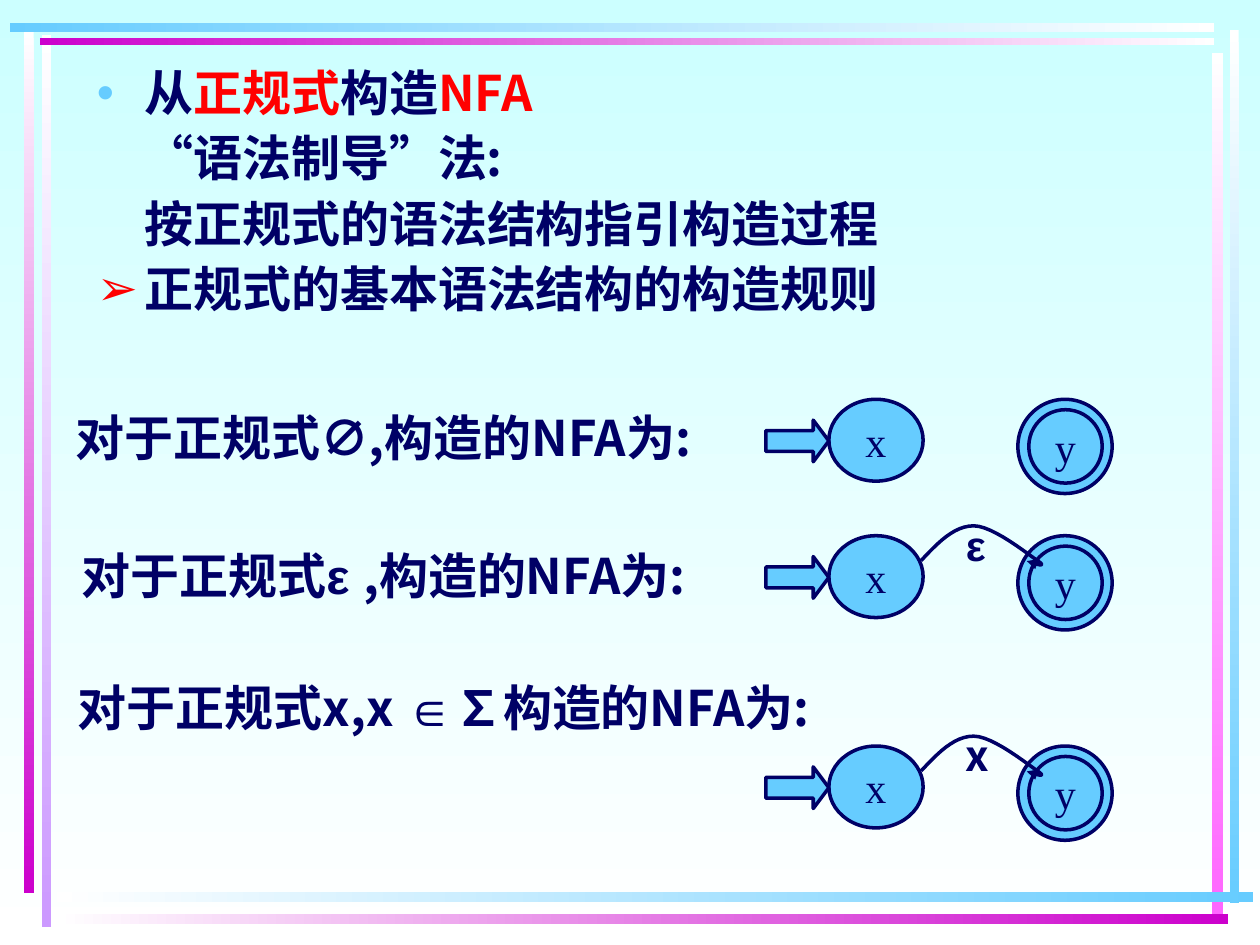
from lxml import etree
from pptx import Presentation
from pptx import util as u
from pptx.dml.color import RGBColor
from pptx.enum import shapes, text
from pptx.oxml.ns import qn

NAVY, SKY, RED, WHITE = "000066", "66CCFF", "FF0000", "FFFFFF"
PURPLE = "CC00CC"
NOTO, ARIAL, TIMES = "Noto Sans CJK SC", "Arial", "Times New Roman"
color = RGBColor.from_string


def write(para, runs, size, bold=True):
    for words, face, shade in runs:
        span = para.add_run()
        span.text = words
        span.font.size = u.Pt(size)
        span.font.bold = bold
        span.font.name = face
        span.font.color.rgb = color(shade)
        east = etree.SubElement(span.font._element, qn("a:ea"))
        east.set("typeface", NOTO)


def paint_gradient(fill, start, end, angle):
    fill.gradient()
    fill.gradient_angle = angle
    for stop, shade in zip(fill.gradient_stops, (start, end)):
        stop.color.rgb = color(shade)


deck = Presentation()
deck.slide_width, deck.slide_height = u.Cm(25.4), u.Cm(19.05)
page = deck.slides.add_slide(deck.slide_layouts[1])
title = page.shapes.title._element
title.getparent().remove(title)
paint_gradient(page.background.fill, "CCFFFF", WHITE, 270)

frame_bars = [
    (0.84, 0.71, 0.2, 17.98, WHITE, "CC99FF"),
    (0.48, 0.64, 0.2, 17.37, WHITE, PURPLE),
    (24.79, 0.61, 0.18, 17.6, WHITE, SKY),
    (24.43, 1.07, 0.23, 17.35, WHITE, "FF66FF"),
    (1.14, 17.98, 24.13, 0.2, WHITE, SKY),
    (1.14, 18.42, 23.62, 0.2, WHITE, PURPLE),
    (0.8, 0.76, 23.67, 0.15, PURPLE, WHITE),
    (0.2, 0.47, 24.28, 0.18, SKY, WHITE),
]
for left, top, width, height, start, end in frame_bars:
    bar = page.shapes.add_shape(shapes.MSO_SHAPE.RECTANGLE, u.Cm(left), u.Cm(top), u.Cm(width), u.Cm(height))
    bar.shadow.inherit = False
    bar.line.fill.background()
    paint_gradient(bar.fill, start, end, 270 if height > width else 0)

body = page.placeholders[1]
body.left, body.top, body.width, body.height = u.Cm(1.7), u.Cm(1.27), u.Cm(21.79), u.Cm(5.72)
frame = body.text_frame
frame.auto_size = text.MSO_AUTO_SIZE.NONE
outline = [
    ("•", SKY, [("从", NOTO, NAVY), ("正规式", NOTO, RED), ("构造", NOTO, NAVY), ("NFA", NOTO, RED)]),
    (None, None, [("“", ARIAL, NAVY), ("语法制导", NOTO, NAVY), ("”", ARIAL, NAVY), ("法:", NOTO, NAVY)]),
    (None, None, [("按正规式的语法结构指引构造过程", NOTO, NAVY)]),
    ("➢", RED, [("正规式的基本语法结构的构造规则", NOTO, NAVY)]),
]
for number, (bullet, shade, runs) in enumerate(outline):
    para = frame.add_paragraph() if number else frame.paragraphs[0]
    para.line_spacing = 0.9
    para.space_before = u.Pt(7 if number else 0)
    props = para._p.get_or_add_pPr()
    props.set("marL", str(u.Cm(0.96)))
    props.set("indent", str(-u.Cm(0.96) if bullet else 0))
    if bullet:
        bullet_color = etree.SubElement(props, qn("a:buClr"))
        etree.SubElement(bullet_color, qn("a:srgbClr")).set("val", shade)
        etree.SubElement(props, qn("a:buChar")).set("char", bullet)
    else:
        etree.SubElement(props, qn("a:buNone"))
    write(para, runs, 28)

captions = [
    (1.27, 8.1, 13.94, [("对于正规式", NOTO), ("∅", ARIAL), (",构造的NFA为:", NOTO)]),
    (1.4, 10.87, 13.85, [("对于正规式", NOTO), ("ε ", ARIAL), (",构造的NFA为:", NOTO)]),
    (1.32, 13.54, 16.23, [("对于正规式x,x ", NOTO), ("∈", ARIAL), ("∑构造的NFA为:", NOTO)]),
]
for left, top, width, runs in captions:
    box = page.shapes.add_textbox(u.Cm(left), u.Cm(top), u.Cm(width), u.Cm(1.45))
    box.text_frame.word_wrap = True
    write(box.text_frame.paragraphs[0], [(words, face, NAVY) for words, face in runs], 28)

state_parts = [
    (shapes.MSO_SHAPE.OVAL, 20.52, 0, 1.9, 1.9, ""),
    (shapes.MSO_SHAPE.OVAL, 20.74, 0.21, 1.48, 1.48, "y"),
    (shapes.MSO_SHAPE.OVAL, 16.71, 0, 1.9, 1.65, "x"),
    (shapes.MSO_SHAPE.RIGHT_ARROW, 15.44, 0.42, 1.27, 0.84, ""),
]
curve = [
    (18.57, 0.5), (18.9, 0.15), (19.23, -0.2), (19.63, -0.2), (20.02, -0.2),
    (20.73, 0.38), (20.93, 0.51), (21.11, 0.64), (20.9, 0.58), (20.7, 0.51),
]
steps = 12
arc = [curve[0]]
for first in range(0, len(curve) - 1, 3):
    controls = curve[first:first + 4]
    for step in range(1, steps + 1):
        t = step / steps
        weights = ((1 - t) ** 3, 3 * t * (1 - t) ** 2, 3 * t ** 2 * (1 - t), t ** 3)
        arc.append(tuple(sum(w * point[axis] for w, point in zip(weights, controls)) for axis in (0, 1)))

automata = [(8.05, None, None), (10.8, "ε", ARIAL), (15.04, "x", NOTO)]
for row, symbol, face in automata:
    for kind, left, offset, width, height, name in state_parts:
        part = page.shapes.add_shape(kind, u.Cm(left), u.Cm(row + offset), u.Cm(width), u.Cm(height))
        part.shadow.inherit = False
        part.fill.solid()
        part.fill.fore_color.rgb = color(SKY)
        part.line.color.rgb = color(NAVY)
        part.line.width = u.Pt(2)
        if kind == shapes.MSO_SHAPE.RIGHT_ARROW:
            part.adjustments[1] = 0.375
        if name:
            part.text_frame.word_wrap = False
            part.text_frame.vertical_anchor = text.MSO_ANCHOR.MIDDLE
            para = part.text_frame.paragraphs[0]
            para.alignment = text.PP_ALIGN.CENTER
            write(para, [(name, TIMES, NAVY)], 24, False)
    if symbol:
        points = [(u.Cm(x), u.Cm(row + y)) for x, y in arc]
        builder = page.shapes.build_freeform(*points[0])
        builder.add_line_segments(points[1:], close=False)
        edge = builder.convert_to_shape()
        edge.shadow.inherit = False
        edge.fill.background()
        edge.line.color.rgb = color(NAVY)
        edge.line.width = u.Pt(2)
        etree.SubElement(edge.line._get_or_add_ln(), qn("a:tailEnd")).set("type", "triangle")
        label = page.shapes.add_textbox(u.Cm(19.22), u.Cm(row - 0.45), u.Cm(0.95), u.Cm(1.27))
        label.text_frame.word_wrap = False
        write(label.text_frame.paragraphs[0], [(symbol, face, NAVY)], 24)

deck.save("out.pptx")
